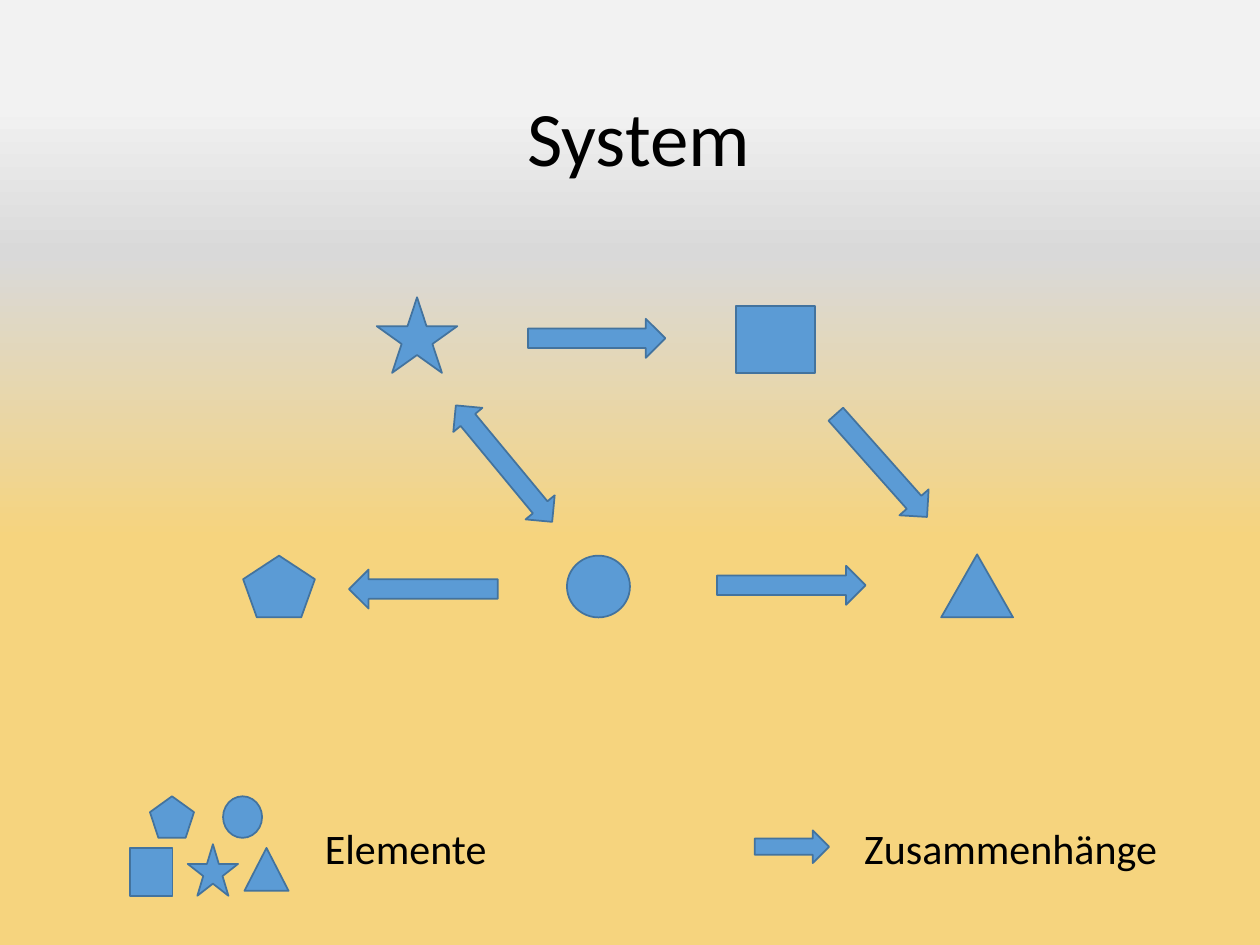
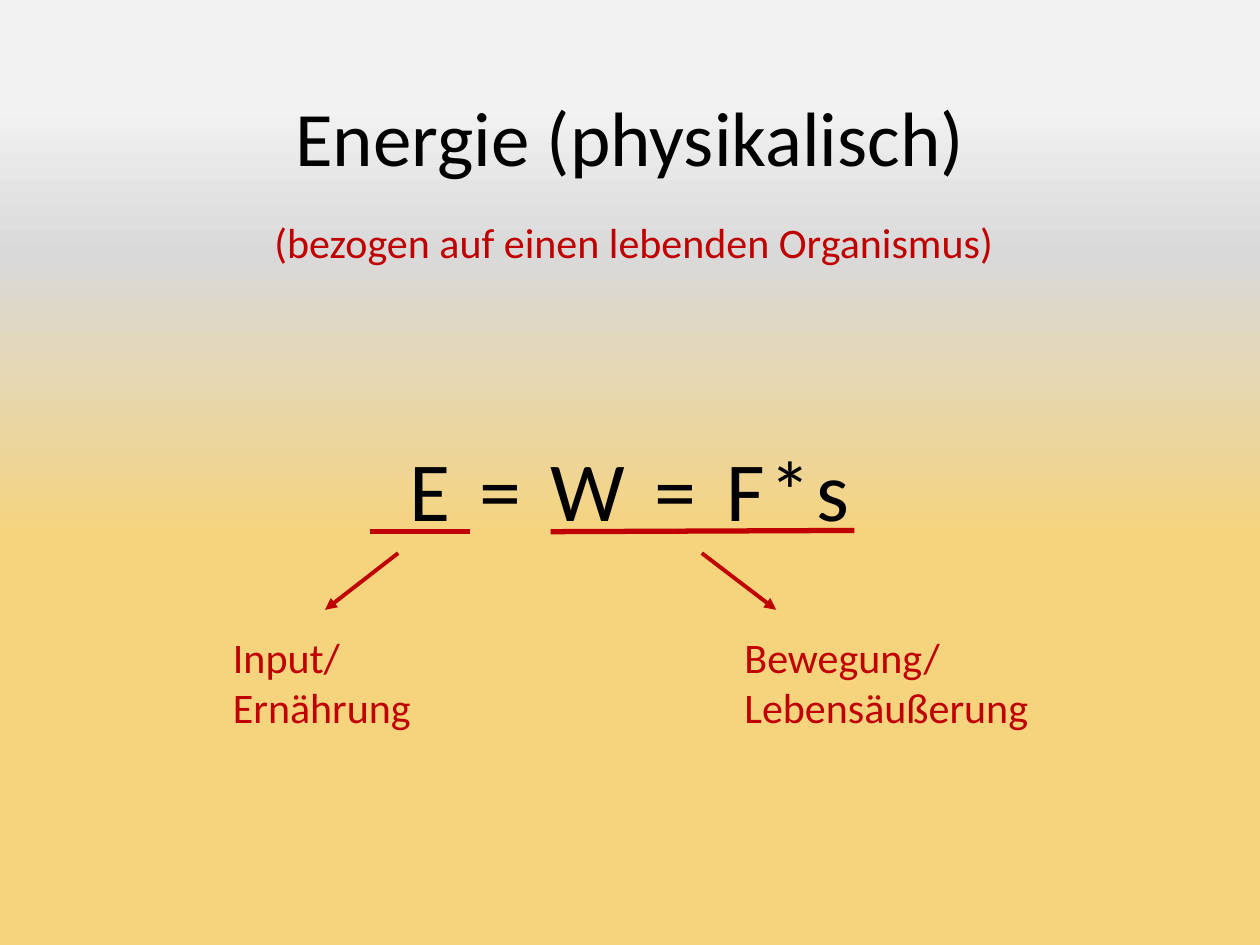
from copy import deepcopy

from lxml.etree import SubElement
from pptx import Presentation
from pptx.dml.color import RGBColor
from pptx.enum.shapes import MSO_CONNECTOR, MSO_SHAPE
from pptx.enum.text import MSO_ANCHOR, PP_ALIGN
from pptx.oxml.ns import qn
from pptx.util import Inches, Pt

COLORS = {"black": "000000", "red": "C00000", "blue": "5B9BD5", "edge": "43739E",
          "light": "F2F2F2", "grey": "D9D9D9", "sand": "F6D47E"}
SKY = [(0.11, "light"), (0.27, "grey"), (0.57, "sand")]
COLS, ROWS = 100, 75
FONT = "Calibri"
STAR, RECT, OVAL = MSO_SHAPE.STAR_5_POINT, MSO_SHAPE.RECTANGLE, MSO_SHAPE.OVAL
TRIANGLE, PENTAGON = MSO_SHAPE.ISOSCELES_TRIANGLE, MSO_SHAPE.REGULAR_PENTAGON
ARROW, DOUBLE_ARROW = MSO_SHAPE.RIGHT_ARROW, MSO_SHAPE.LEFT_RIGHT_ARROW


def rgb(name):
    return RGBColor.from_string(COLORS[name])


class Deck:
    """Hold the shared style and the current slide, measured in grid columns and rows."""

    def __init__(self):
        self.prs = Presentation()
        self.prs.slide_width, self.prs.slide_height = Inches(10), Inches(7.5)
        self.s = None
        self.background()

    def background(self):
        master = self.prs.slide_master
        fill = master.background.fill
        fill.gradient()
        fill.gradient_angle = 270
        stops = next(master.element.iter(qn("a:gsLst")))
        stops.append(deepcopy(stops[0]))
        for stop, (position, color) in zip(fill.gradient_stops, SKY):
            stop.position = position
            stop.color.rgb = rgb(color)

    def place(self, *cells):
        units = (self.prs.slide_width / COLS, self.prs.slide_height / ROWS)
        return [round(cell * units[i % 2]) for i, cell in enumerate(cells)]

    def add_lines(self, tf, lines, size, color, align, spacing=None, tracking=None):
        tf.word_wrap = True
        for i, line in enumerate(lines):
            p = tf.add_paragraph() if i else tf.paragraphs[0]
            p.alignment = align
            if spacing:
                p.line_spacing = spacing
            r = p.add_run()
            r.text = line
            r.font.name, r.font.size = FONT, Pt(size)
            r.font.color.rgb = rgb(color)
            if tracking:
                r._r.get_or_add_rPr().set("spc", str(tracking * 100))

    def slide(self, title, left):
        self.s = self.prs.slides.add_slide(self.prs.slide_layouts[5])
        sp = self.s.shapes.title
        sp.left, sp.top, sp.width, sp.height = self.place(left, 4, 86.2, 14.5)
        sp.text_frame.vertical_anchor = MSO_ANCHOR.MIDDLE
        self.add_lines(sp.text_frame, [title], 44, "black", PP_ALIGN.CENTER, 0.9)

    def text(self, lines, *cells, size=24, color="red", align=PP_ALIGN.LEFT, **style):
        sp = self.s.shapes.add_textbox(*self.place(*cells))
        self.add_lines(sp.text_frame, lines, size, color, align, **style)

    def shape(self, kind, *cells, turn=0):
        sp = self.s.shapes.add_shape(kind, *self.place(*cells))
        sp.shadow.inherit = False
        sp.rotation = turn
        sp.fill.solid()
        sp.fill.fore_color.rgb = rgb("blue")
        sp.line.color.rgb = rgb("edge")
        sp.line.width = Pt(1)

    def line(self, *ends, width=3, arrow=False):
        cx = self.s.shapes.add_connector(MSO_CONNECTOR.STRAIGHT, *self.place(*ends))
        cx.line.color.rgb = rgb("red")
        cx.line.width = Pt(width)
        props = cx.element.spPr
        if arrow:
            SubElement(props.find(qn("a:ln")), qn("a:tailEnd"), type="triangle")
        SubElement(props, qn("a:effectLst"))


def system(deck):
    deck.slide("System", 7.6)
    elements = [(STAR, 29.9, 23.6, 6.4, 6), (RECT, 58.4, 24.3, 6.3, 5.3),
                (OVAL, 45, 44.1, 5, 4.9), (TRIANGLE, 74.7, 44, 5.7, 5),
                (PENTAGON, 19.3, 44.1, 5.7, 4.9)]
    relations = [(ARROW, 41.9, 25.3, 10.9, 3.1, 0), (ARROW, 56.9, 44.9, 11.8, 3.1, 0),
                 (ARROW, 64.5, 35.4, 10.9, 3.1, 48.4),
                 (DOUBLE_ARROW, 34, 35.3, 12, 3, 50.4),
                 (ARROW, 27.7, 45.2, 11.8, 3.1, 180)]
    legend = [(PENTAGON, 11.9, 63.2, 3.5, 3.3), (OVAL, 17.7, 63.2, 3.1, 3.3),
              (RECT, 10.3, 67.3, 3.4, 3.8), (STAR, 14.9, 67, 4, 4.1),
              (TRIANGLE, 19.4, 67.3, 3.5, 3.4), (ARROW, 59.9, 65.9, 5.9, 2.6)]
    for kind, *cells in elements + legend:
        deck.shape(kind, *cells)
    for kind, *cells, turn in relations:
        deck.shape(kind, *cells, turn=turn)
    for label, left, width in [("Elemente", 24.8, 24.7), ("Zusammenhänge", 67.6, 26.2)]:
        deck.text([label], left, 64.8, width, 5, color="black")


def energy(deck):
    deck.slide("Energie (physikalisch)", 6.9)
    deck.text(["E = W = F*s"], 6.9, 35.1, 86.2, 8.8, size=48, color="black",
              align=PP_ALIGN.CENTER, spacing=0.9, tracking=3)
    deck.text(["(bezogen auf einen lebenden Organismus)"], 20.1, 16.7, 60.4, 5,
              align=PP_ALIGN.CENTER)
    deck.text(["Bewegung/", "Lebensäußerung"], 58.1, 49.6, 28.8, 9.1)
    deck.text(["Input/ Ernährung"], 17.5, 49.6, 23.9, 9.1)
    deck.line(29.4, 42.2, 37.3, 42.2)
    deck.line(43.7, 42.2, 67.8, 42.1)
    for start, end in [(31.6, 25.8), (55.7, 61.6)]:
        deck.line(start, 43.9, end, 48.4, width=2.25, arrow=True)


def main():
    deck = Deck()
    system(deck)
    energy(deck)
    deck.prs.save("out.pptx")


if __name__ == "__main__":
    main()
